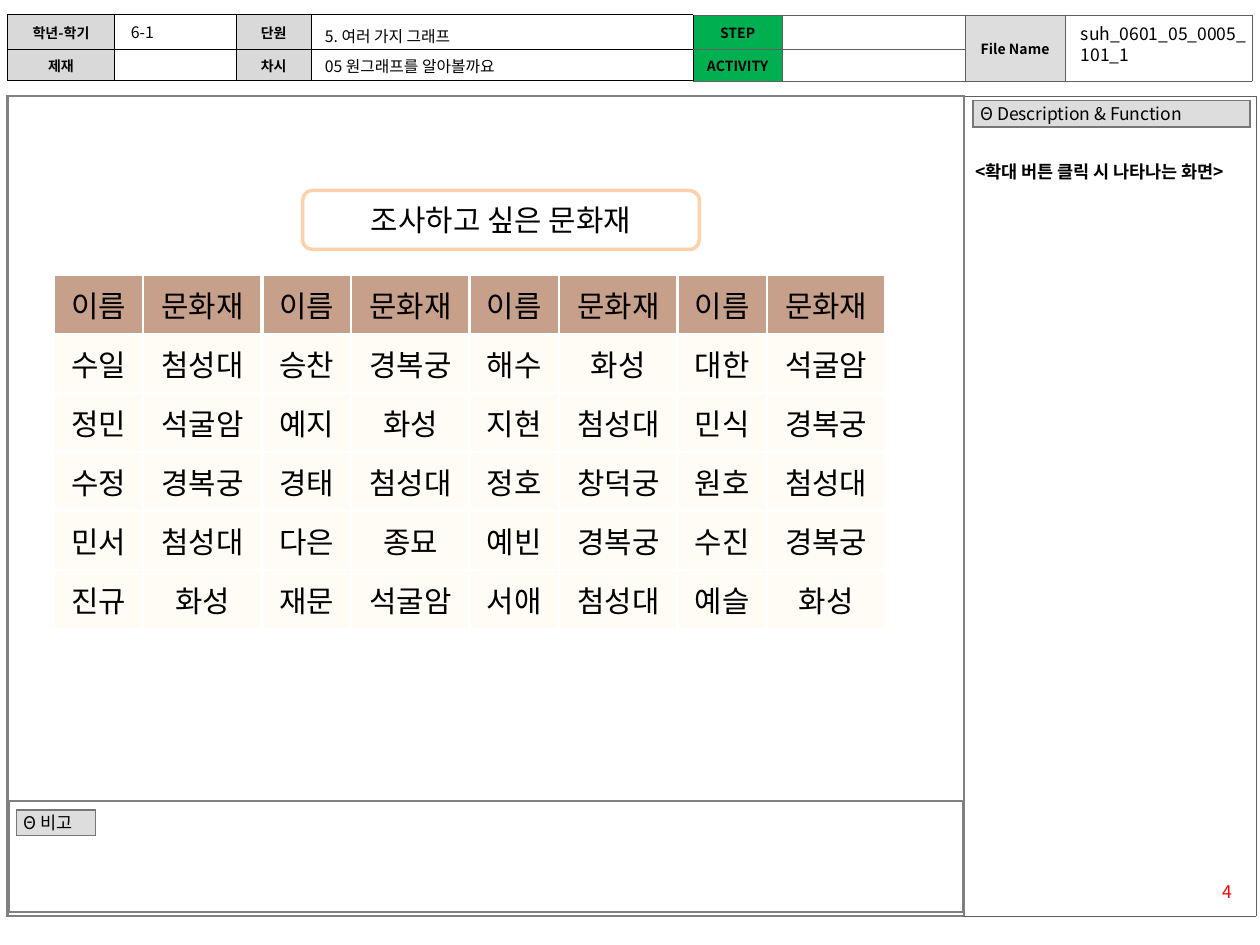
import pptx
import pptx.dml.color
import pptx.enum.shapes
import pptx.enum.text
import pptx.oxml.ns
import pptx.util
from lxml import etree

Cm, Pt = pptx.util.Cm, pptx.util.Pt
ALIGN = pptx.enum.text.PP_ALIGN
MIDDLE = pptx.enum.text.MSO_ANCHOR.MIDDLE
FONT = "Noto Sans CJK KR"
COLORS = {
    "black": "000000", "white": "FFFFFF", "red": "FF0000",
    "frame": "808080", "thin": "5F5F5F", "label_line": "777777",
    "label": "DDDDDD", "head": "D9D9D9", "green": "00B050",
    "brown": "C7A08C", "cream": "FFFBF5", "peach": "FCD1AB",
}

HEADER = [
    ["학년-학기", "", "단원", "", "STEP", "", "File Name", ""],
    ["제재", "", "차시", "", "ACTIVITY", "", "", ""],
]
HEADER_COLS = [2.16, 2.46, 1.5, 7.7, 1.8, 3.68, 2.03, 3.76]
HEADER_FILLS = {0: "head", 2: "head", 4: "green", 6: "label"}
HERITAGE = [
    ["이름", "문화재"] * 4,
    ["수일", "첨성대", "승찬", "경복궁", "해수", "화성", "대한", "석굴암"],
    ["정민", "석굴암", "예지", "화성", "지현", "첨성대", "민식", "경복궁"],
    ["수정", "경복궁", "경태", "첨성대", "정호", "창덕궁", "원호", "첨성대"],
    ["민서", "첨성대", "다은", "종묘", "예빈", "경복궁", "수진", "경복궁"],
    ["진규", "화성", "재문", "석굴암", "서애", "첨성대", "예슬", "화성"],
]
LABELS = [
    (0.33, 16.33, 1.6, 0.51, "Θ 비고"),
    (19.61, 2.03, 5.59, 0.53, "Θ Description & Function"),
]
NOTES = [
    (23.39, 17.63, 1.7, 0.69, "4", 10, "red", False, ALIGN.RIGHT),
    (19.41, 3.12, 5.99, 0.8, "<확대 버튼 클릭 시 나타나는 화면>", 10, "black", True, ALIGN.JUSTIFY),
    (2.39, 0.33, 2.39, 0.61, "6-1", 9, "black", False, ALIGN.LEFT),
    (6.3, 0.41, 7.7, 0.41, "5. 여러 가지 그래프", 9, "black", False, ALIGN.LEFT),
    (21.54, 0.33, 3.86, 1.12, "suh_0601_05_0005_101_1", 10, "black", False, ALIGN.LEFT),
    (6.3, 1.02, 7.59, 0.61, "05 원그래프를 알아볼까요", 9, "black", False, ALIGN.LEFT),
]


def rgb(name):
    return pptx.dml.color.RGBColor.from_string(COLORS[name])


def sub(parent, tag, **attrs):
    return etree.SubElement(parent, pptx.oxml.ns.qn(tag), attrs)


def write(tf, text, size, color="black", bold=False, align=ALIGN.LEFT):
    tf.word_wrap = True
    tf.text = text
    p = tf.paragraphs[0]
    p.alignment = align
    for r in p.runs:
        r.font.name, r.font.size, r.font.bold = FONT, Pt(size), bold
        r.font.color.rgb = rgb(color)
        sub(r.font._element, "a:ea", typeface=FONT)
    if not text:
        sub(p._p, "a:endParaRPr", sz=str(size * 100))


def set_border(cell, sides):
    tc_pr = cell._tc.get_or_add_tcPr()
    for i, side in enumerate("LRTB"):
        color, width = sides[side]
        ln = etree.Element(pptx.oxml.ns.qn(f"a:ln{side}"), w=str(int(Pt(width))))
        sub(sub(ln, "a:solidFill"), "a:srgbClr", val=COLORS[color])
        tc_pr.insert(i, ln)


def add_table(s, left, top, cols, rows, texts, border, fill=lambda r, c: None,
              size=10, bold=False, align=ALIGN.CENTER, margins=(0.15, 0)):
    frame = s.shapes.add_table(len(rows), len(cols), Cm(left), Cm(top),
                               Cm(sum(cols)), Cm(sum(rows)))
    table = frame.table
    table.first_row = table.horz_banding = False
    for column, width in zip(table.columns, cols):
        column.width = Cm(width)
    for row, height in zip(table.rows, rows):
        row.height = Cm(height)
    for r, line in enumerate(texts):
        for c, text in enumerate(line):
            cell = table.cell(r, c)
            cell.vertical_anchor = MIDDLE
            cell.margin_left = cell.margin_right = Cm(margins[0])
            cell.margin_top = cell.margin_bottom = Cm(margins[1])
            write(cell.text_frame, text, size, bold=bold, align=align)
            color = fill(r, c)
            if color:
                cell.fill.solid()
                cell.fill.fore_color.rgb = rgb(color)
            else:
                cell.fill.background()
            set_border(cell, border(r, c))
    return table


def even(color, width):
    return dict.fromkeys("LRTB", (color, width))


def frame_border(r, c):
    if c == 0:
        return even("frame", 1.5)
    return {**even("thin", 0.25), "L": ("frame", 1.5)}


def header_border(r, c):
    return even("black", 0.5) if c < 4 else even("thin", 0.25)


def heritage_border(r, c):
    sides = even("white", 1.5)
    if c % 2:
        sides["R"] = ("white", 2.25)
    elif c:
        sides["L"] = ("white", 2.25)
    return sides


prs = pptx.Presentation()
prs.slide_width, prs.slide_height = Cm(25.4), Cm(19.05)
s = prs.slides.add_slide(prs.slide_layouts[6])

add_table(s, 0.15, 1.93, [19.28, 5.89], [16.54], [["", ""]], frame_border)
header = add_table(s, 0.15, 0.3, HEADER_COLS, [0.69, 0.64], HEADER, header_border,
                   lambda r, c: HEADER_FILLS.get(c), size=8, bold=True)
for c in (6, 7):
    header.cell(0, c).merge(header.cell(1, c))
add_table(s, 0.18, 16.15, [19.23], [2.24], [[""]], lambda r, c: even("frame", 1.5))

for left, top, width, height, text in LABELS:
    label = add_table(s, left, top, [width], [height], [[text]],
                      lambda r, c: even("label_line", 1), lambda r, c: "label",
                      align=ALIGN.LEFT)
    label.cell(0, 0).text_frame.paragraphs[0].line_spacing = 0.9

for left, top, width, height, *text_style in NOTES:
    sp = s.shapes.add_textbox(Cm(left), Cm(top), Cm(width), Cm(height))
    write(sp.text_frame, *text_style)

add_table(s, 1.09, 5.54, [1.8, 2.39] * 4, [1.19] * len(HERITAGE), HERITAGE,
          heritage_border, lambda r, c: "cream" if r else "brown",
          size=17, margins=(0.28, 0.13))

title = s.shapes.add_shape(pptx.enum.shapes.MSO_SHAPE.ROUNDED_RECTANGLE,
                           Cm(6.1), Cm(3.84), Cm(8), Cm(1.19))
title.shadow.inherit = False
title.fill.solid()
title.fill.fore_color.rgb = rgb("white")
title.line.color.rgb = rgb("peach")
title.line.width = Pt(2)
title.text_frame.vertical_anchor = MIDDLE
write(title.text_frame, "조사하고 싶은 문화재", 17, align=ALIGN.CENTER)

prs.save("out.pptx")
